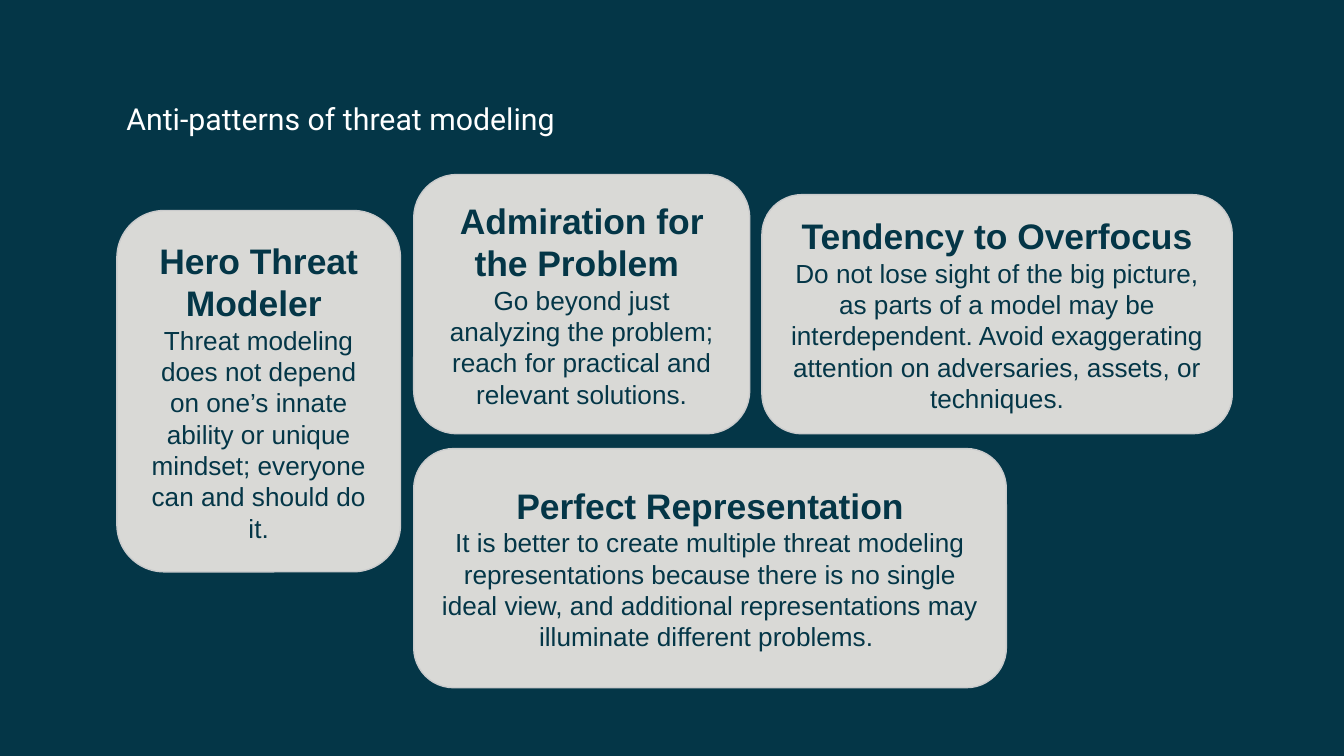
from dataclasses import dataclass

from pptx import Presentation
from pptx.dml.color import RGBColor
from pptx.enum.shapes import MSO_SHAPE
from pptx.enum.text import MSO_ANCHOR, PP_ALIGN
from pptx.slide import Slide
from pptx.text.text import TextFrame, _Paragraph
from pptx.util import Cm, Pt

NAVY = "043647"
PALE_GREY = "D9D9D6"
EDGE_GREY = "CACBCC"
WHITE = "FFFFFF"

LEFT_COLUMN = 2.21
MIDDLE_COLUMN = 7.82
RIGHT_COLUMN = 14.4


@dataclass(frozen=True)
class AntiPattern:
    heading: str
    advice: str
    left: float
    top: float
    width: float
    height: float


ANTI_PATTERNS = [
    AntiPattern(
        "Hero Threat Modeler ",
        "Threat modeling does not depend on one’s innate ability or unique "
        "mindset; everyone can and should do it.",
        LEFT_COLUMN, 3.98, 5.36, 6.83,
    ),
    AntiPattern(
        "Perfect Representation",
        "It is better to create multiple threat modeling representations "
        "because there is no single ideal view, and additional "
        "representations may illuminate different problems. ",
        MIDDLE_COLUMN, 8.48, 11.2, 4.52,
    ),
    AntiPattern(
        "Admiration for the Problem ",
        "Go beyond just analyzing the problem; reach for practical and "
        "relevant solutions.",
        MIDDLE_COLUMN, 3.3, 6.35, 4.9,
    ),
    AntiPattern(
        "Tendency to Overfocus",
        "Do not lose sight of the big picture, as parts of a model may be "
        "interdependent. Avoid exaggerating attention on adversaries, "
        "assets, or techniques.",
        RIGHT_COLUMN, 3.68, 8.89, 4.52,
    ),
]


def color(hex_code: str) -> RGBColor:
    return RGBColor.from_string(hex_code)


def add_run(paragraph: _Paragraph, text: str, font: str, size: float,
            hex_code: str, bold: bool = False) -> None:
    run = paragraph.add_run()
    run.text = text
    run.font.name = font
    run.font.size = Pt(size)
    run.font.bold = bold
    run.font.color.rgb = color(hex_code)


def set_frame(frame: TextFrame, anchor: MSO_ANCHOR,
              side: float, end: float) -> None:
    frame.word_wrap = True
    frame.vertical_anchor = anchor
    frame.margin_left = frame.margin_right = Cm(side)
    frame.margin_top = frame.margin_bottom = Cm(end)


def add_title(slide: Slide, text: str) -> None:
    title = slide.shapes.add_textbox(
        Cm(LEFT_COLUMN), Cm(1.88), Cm(17.83), Cm(0.64))
    set_frame(title.text_frame, MSO_ANCHOR.TOP, 0.18, 0.1)
    paragraph = title.text_frame.paragraphs[0]
    paragraph.line_spacing = 0.9
    add_run(paragraph, text, "Roboto", 16.2, WHITE)


def add_card(slide: Slide, pattern: AntiPattern) -> None:
    card = slide.shapes.add_shape(
        MSO_SHAPE.ROUNDED_RECTANGLE, Cm(pattern.left), Cm(pattern.top),
        Cm(pattern.width), Cm(pattern.height))
    card.shadow.inherit = False
    card.fill.solid()
    card.fill.fore_color.rgb = color(PALE_GREY)
    card.line.color.rgb = color(EDGE_GREY)
    card.line.width = Pt(0.75)
    frame = card.text_frame
    set_frame(frame, MSO_ANCHOR.MIDDLE, 0.25, 0.25)
    heading, advice = frame.paragraphs[0], frame.add_paragraph()
    heading.alignment = advice.alignment = PP_ALIGN.CENTER
    add_run(heading, pattern.heading, "Arial", 19, NAVY, bold=True)
    add_run(advice, pattern.advice, "Arial", 14, NAVY)


def main() -> None:
    deck = Presentation()
    deck.slide_width, deck.slide_height = Cm(25.4), Cm(14.29)
    slide = deck.slides.add_slide(deck.slide_layouts[6])
    slide.background.fill.solid()
    slide.background.fill.fore_color.rgb = color(NAVY)
    add_title(slide, "Anti-patterns of threat modeling")
    for pattern in ANTI_PATTERNS:
        add_card(slide, pattern)
    deck.save("out.pptx")


if __name__ == "__main__":
    main()
